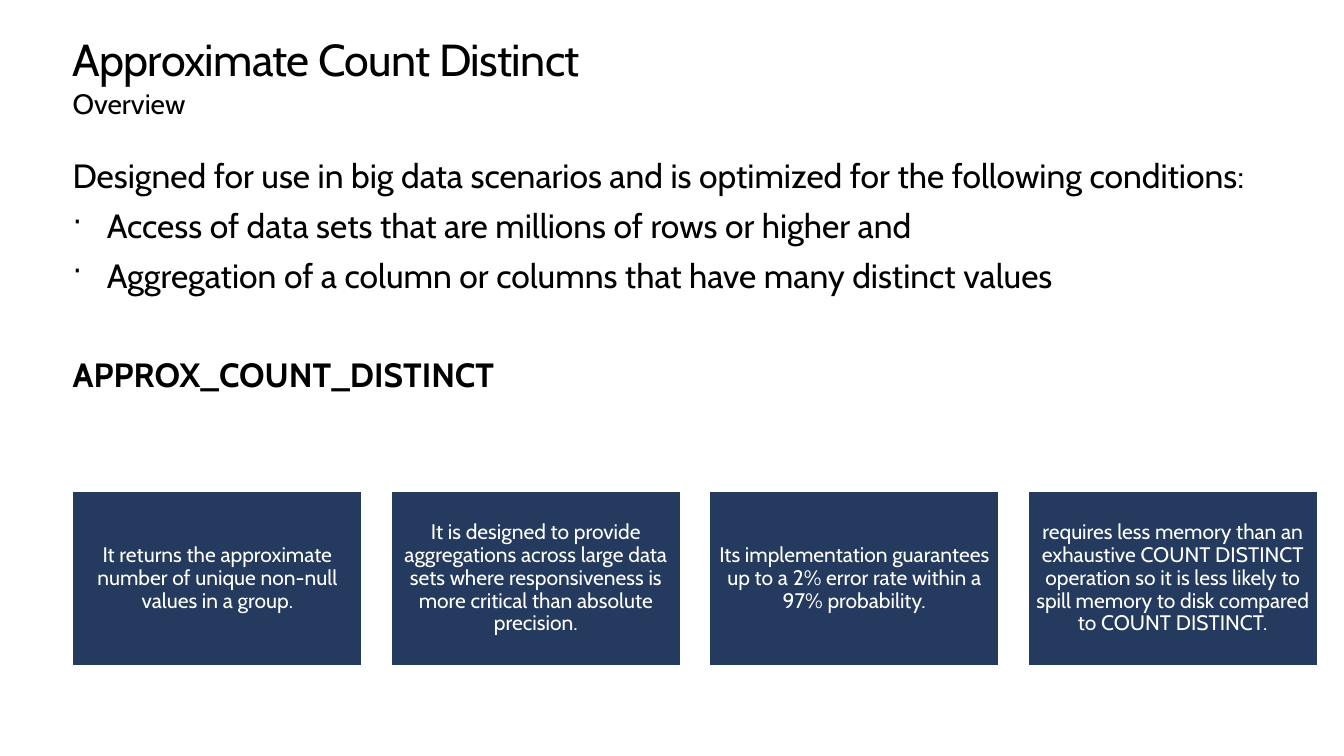
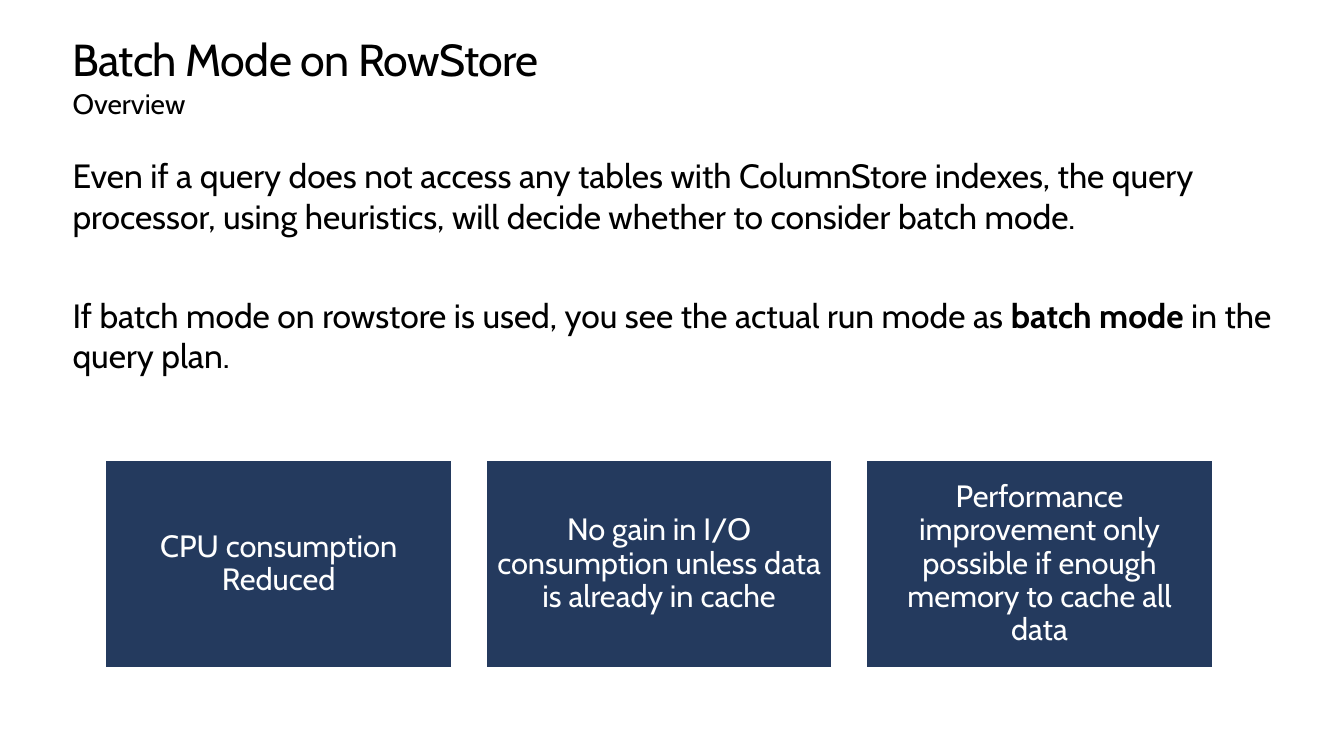
from dataclasses import dataclass

from lxml.etree import SubElement
from pptx import Presentation
from pptx.dml.color import RGBColor
from pptx.enum.shapes import MSO_SHAPE as Preset
from pptx.enum.text import MSO_ANCHOR as Anchor, PP_ALIGN as Align
from pptx.oxml.ns import qn
from pptx.util import Pt

FONT = "Cabin"
BLACK, WHITE, NAVY = "000000", "FFFFFF", "243A5E"
LEFT, WIDTH = 51.84, 856.8
PARAGRAPH_GAP = 6.7
SECTION_GAP = 42
BULLET_INDENT = 24.5


@dataclass
class Span:
    text: str
    bold: bool = False


@dataclass
class Statement:
    spans: list[Span]
    gap: float = PARAGRAPH_GAP
    bullet: bool = False


@dataclass
class CardRow:
    left: float
    top: float
    width: float
    size: float
    texts: list[str]


@dataclass
class Topic:
    title: str
    statements: list[Statement]
    body_height: float
    cards: CardRow


TOPICS = [
    Topic(
        "Approximate Count Distinct",
        [
            Statement([Span("Designed for use in big data scenarios and is optimized for the following conditions:")], 0),
            Statement([Span("Access of data sets that are millions of rows or higher and")], bullet=True),
            Statement([Span("Aggregation of a column or columns that have many distinct values")], bullet=True),
            Statement([Span("APPROX_COUNT_DISTINCT", True)], SECTION_GAP),
        ],
        213,
        CardRow(LEFT, 351.2, 206.8, 15, [
            "It returns the approximate number of unique non-null values in a group.",
            "It is designed to provide aggregations across large data sets where responsiveness "
            "is more critical than absolute precision.",
            "Its implementation guarantees up to a 2% error rate within a 97% probability.",
            "requires less memory than an exhaustive COUNT DISTINCT operation so it is less likely "
            "to spill memory to disk compared to COUNT DISTINCT.",
        ]),
    ),
    Topic(
        "Batch Mode on RowStore",
        [
            Statement([Span("Even if a query does not access any tables with ColumnStore indexes, the query "
                            "processor, using heuristics, will decide whether to consider batch mode.")], 0),
            Statement([
                Span("If batch mode on rowstore is used, you see the actual run mode as "),
                Span("batch mode", True),
                Span(" in the query plan."),
            ], SECTION_GAP),
        ],
        183,
        CardRow(75.6, 329, 247, 22, [
            "CPU consumption Reduced",
            "No gain in I/O consumption unless data is already in cache",
            "Performance improvement only possible if enough memory to cache all data",
        ]),
    ),
]


def rgb(value: str) -> RGBColor:
    return RGBColor.from_string(value)


def style_runs(paragraph, size: float, color: str) -> None:
    for run in paragraph.runs:
        run.font.name = FONT
        run.font.size = Pt(size)
        run.font.color.rgb = rgb(color)


def set_insets(frame, inset: float) -> None:
    frame.word_wrap = True
    frame.margin_left = frame.margin_right = Pt(inset)
    frame.margin_top = frame.margin_bottom = Pt(inset)


def add_text_area(slide, top: float, height: float):
    frame = slide.shapes.add_textbox(Pt(LEFT), Pt(top), Pt(WIDTH), Pt(height)).text_frame
    set_insets(frame, 0)
    return frame


def add_heading(slide, title: str) -> None:
    frame = add_text_area(slide, 25.2, 36.2)
    frame.text = title
    heading = frame.paragraphs[0]
    heading.line_spacing = Pt(36.2)
    style_runs(heading, 32, BLACK)
    for run in heading.runs:
        run.font._element.set("spc", "-50")

    frame = add_text_area(slide, 62, 36)
    frame.text = "Overview"
    style_runs(frame.paragraphs[0], 20, BLACK)


def add_bullet(paragraph) -> None:
    properties = paragraph._p.get_or_add_pPr()
    properties.set("marL", str(Pt(BULLET_INDENT)))
    properties.set("indent", str(-Pt(BULLET_INDENT)))
    color = SubElement(properties, qn("a:buClr"))
    SubElement(color, qn("a:srgbClr"), val=BLACK)
    SubElement(properties, qn("a:buSzPct"), val="90000")
    SubElement(properties, qn("a:buChar"), char="·")


def add_body(slide, statements: list[Statement], height: float) -> None:
    frame = add_text_area(slide, 110.9, height)
    for index, statement in enumerate(statements):
        paragraph = frame.add_paragraph() if index else frame.paragraphs[0]
        if statement.bullet:
            add_bullet(paragraph)
        paragraph.space_before = Pt(statement.gap)
        for span in statement.spans:
            run = paragraph.add_run()
            run.text = span.text
            run.font.bold = span.bold
        style_runs(paragraph, 24, BLACK)


def add_cards(slide, row: CardRow) -> None:
    height = 0.6 * row.width
    pitch = 1.1 * row.width
    for index, text in enumerate(row.texts):
        card = slide.shapes.add_shape(
            Preset.RECTANGLE, Pt(row.left + index * pitch), Pt(row.top), Pt(row.width), Pt(height)
        )
        card.shadow.inherit = False
        card.fill.solid()
        card.fill.fore_color.rgb = rgb(NAVY)
        card.line.color.rgb = rgb(WHITE)
        card.line.width = Pt(1)
        frame = card.text_frame
        set_insets(frame, 0.3 * row.size)
        frame.vertical_anchor = Anchor.MIDDLE
        frame.text = text
        paragraph = frame.paragraphs[0]
        paragraph.alignment = Align.CENTER
        paragraph.line_spacing = 0.9
        style_runs(paragraph, row.size, WHITE)


def main() -> None:
    deck = Presentation()
    deck.slide_width, deck.slide_height = Pt(960), Pt(540)
    for topic in TOPICS:
        slide = deck.slides.add_slide(deck.slide_layouts[6])
        add_heading(slide, topic.title)
        add_body(slide, topic.statements, topic.body_height)
        add_cards(slide, topic.cards)
    deck.save("out.pptx")


if __name__ == "__main__":
    main()
